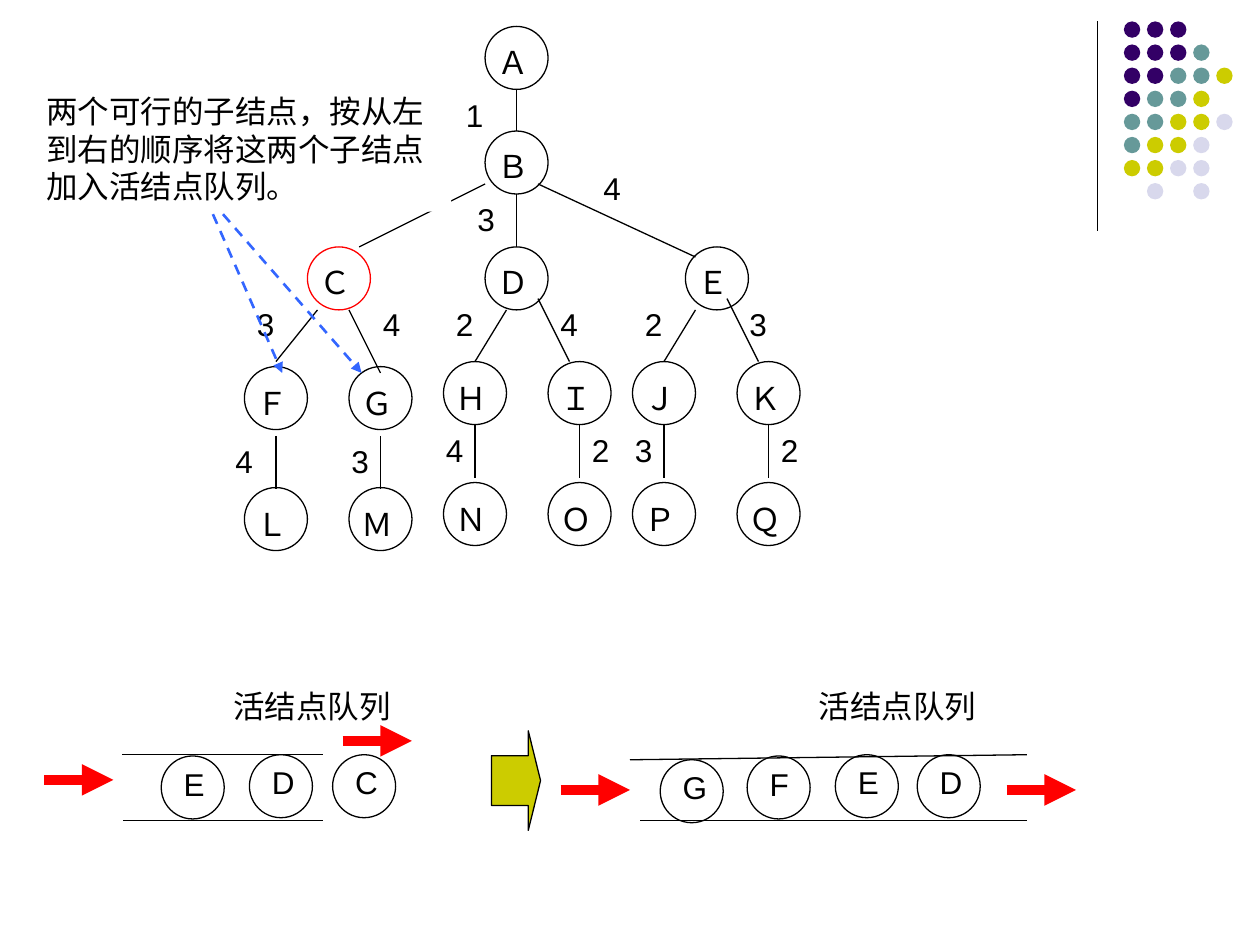
from dataclasses import dataclass

from lxml import etree
from pptx import Presentation
from pptx.dml.color import RGBColor
from pptx.enum.dml import MSO_LINE
from pptx.enum.shapes import MSO_CONNECTOR, MSO_SHAPE
from pptx.enum.text import PP_ALIGN
from pptx.oxml.ns import qn
from pptx.util import Inches, Pt

STRAIGHT = MSO_CONNECTOR.STRAIGHT
OVAL, RECTANGLE, RIGHT_ARROW = MSO_SHAPE.OVAL, MSO_SHAPE.RECTANGLE, MSO_SHAPE.RIGHT_ARROW
DASH = MSO_LINE.DASH
LEFT, CENTER = PP_ALIGN.LEFT, PP_ALIGN.CENTER


@dataclass(frozen=True)
class Theme:
    font: str = "Arial"
    text_size: float = 18
    ink: str = "000000"
    paper: str = "FFFFFF"
    red: str = "FF0000"
    blue: str = "3366FF"
    purple: str = "330066"
    teal: str = "669999"
    olive: str = "CCCC00"
    lilac: str = "D8D8EC"
    thin: float = 0.75
    medium: float = 1.5
    thick: float = 6


class TreeSlide:
    NODE = 0.5

    def __init__(self, slide, theme):
        self.slide = slide
        self.theme = theme

    def shape(self, preset, x, y, width, height, fill=None, outline=None):
        shape = self.slide.shapes.add_shape(
            preset, Inches(x), Inches(y), Inches(width), Inches(height))
        shape.shadow.inherit = False
        if fill:
            shape.fill.solid()
            shape.fill.fore_color.rgb = RGBColor.from_string(fill)
        else:
            shape.fill.background()
        if outline:
            shape.line.color.rgb = RGBColor.from_string(outline)
            shape.line.width = Pt(self.theme.thin)
        else:
            shape.line.fill.background()
        return shape

    def text(self, words, x, y, width, height=0.4, align=LEFT):
        box = self.slide.shapes.add_textbox(
            Inches(x), Inches(y), Inches(width), Inches(height))
        frame = box.text_frame
        frame.word_wrap = True
        frame.text = words
        paragraph = frame.paragraphs[0]
        paragraph.alignment = align
        font = paragraph.runs[0].font
        font.name = self.theme.font
        font.size = Pt(self.theme.text_size)
        font.color.rgb = RGBColor.from_string(self.theme.ink)
        return box

    def line(self, start, end, color=None, weight=None, dash=None, arrow=False):
        x1, y1, x2, y2 = (Inches(v) for v in (*start, *end))
        line = self.slide.shapes.add_connector(STRAIGHT, x1, y1, x2, y2)
        line.line.color.rgb = RGBColor.from_string(color or self.theme.ink)
        line.line.width = Pt(weight or self.theme.thin)
        if dash:
            line.line.dash_style = dash
        if arrow:
            etree.SubElement(line.line._get_or_add_ln(), qn("a:tailEnd"), type="triangle")
        etree.SubElement(line._element.spPr, qn("a:effectLst"))

    def node(self, letter, x, y, label_dx=0, label_dy=0.08, outline=None):
        self.shape(OVAL, x, y, self.NODE, self.NODE, outline=outline or self.theme.ink)
        self.text(letter, x + label_dx, y + label_dy, 0.42)

    def queue_node(self, letter, x, y):
        self.node(letter, x, y, 0.08, 0.02)

    def edge_cost(self, cost, x, y):
        self.text(cost, x, y, 0.33)

    def queue_arrow(self, x, y):
        self.line((x, y), (x + 0.55, y), self.theme.red, self.theme.thick, arrow=True)


def main():
    prs = Presentation()
    prs.slide_width, prs.slide_height = Inches(10), Inches(7.5)
    theme = Theme()
    page = TreeSlide(prs.slides.add_slide(prs.slide_layouts[6]), theme)

    # Corner decoration: rule and dot grid
    page.line((8.71, 0.17), (8.71, 1.83))
    dot_colors = {"P": theme.purple, "T": theme.teal, "O": theme.olive, "L": theme.lilac}
    dot_rows = ["PPP", "PPPT", "PPTTO", "PTTO", "TTOOL", "TOOL", "OOLL", ".L.L"]
    pitch = 0.55 / 3
    for row, dots in enumerate(dot_rows):
        for col, key in enumerate(dots):
            if key in dot_colors:
                page.shape(OVAL, 8.92 + col * pitch, 0.17 + row * pitch,
                           0.13, 0.13, fill=dot_colors[key])

    # Tree: inner nodes
    for letter, x, y in [("Ａ", 3.85, 0.21), ("Ｂ", 3.85, 1.04), ("Ｃ", 2.44, 1.96),
                         ("Ｄ", 3.85, 1.96), ("Ｅ", 5.44, 1.96)]:
        page.node(letter, x, y, outline=theme.red if letter == "Ｃ" else None)

    # Tree: each lower node, its leaf, and the edge and cost between them
    for parent, leaf, x, y, cost, cost_x in [
            ("Ｆ", "Ｌ", 1.94, 2.91, "4", 1.77), ("Ｇ", "Ｍ", 2.77, 2.91, "3", 2.69),
            ("Ｈ", "Ｎ", 3.52, 2.87, "4", 3.44), ("Ｉ", "Ｏ", 4.35, 2.87, "2", 4.6),
            ("Ｊ", "Ｐ", 5.02, 2.87, "3", 4.94), ("Ｋ", "Ｑ", 5.85, 2.87, "2", 6.1)]:
        page.node(parent, x, y, label_dy=0.09)
        page.node(leaf, x, y + 0.96, label_dy=0.09)
        edge_x, edge_top = x + page.NODE / 2, 3.46 if y > 2.9 else 3.37
        page.line((edge_x, edge_top), (edge_x, edge_top + 0.42))
        page.edge_cost(cost, cost_x, edge_top)

    # Tree: upper edges
    for start, end in [
            ((4.1, 0.71), (4.1, 1.04)), ((4.1, 1.54), (4.1, 1.96)),
            ((3.85, 1.46), (2.85, 1.96)), ((4.27, 1.46), (5.52, 2.04)),
            ((2.52, 2.46), (2.19, 2.87)), ((2.77, 2.46), (3.02, 2.96)),
            ((4.02, 2.46), (3.77, 2.87)), ((4.27, 2.37), (4.52, 2.87)),
            ((5.52, 2.46), (5.27, 2.87)), ((5.77, 2.37), (6.02, 2.87))]:
        page.line(start, end)

    # Tree: upper edge costs
    for cost, x, y in [
            ("1", 3.6, 0.71), ("3", 3.69, 1.54), ("4", 4.69, 1.29),
            ("3", 1.94, 2.37), ("4", 2.94, 2.37), ("2", 3.52, 2.37),
            ("4", 4.35, 2.37), ("2", 5.02, 2.37), ("3", 5.85, 2.37)]:
        page.edge_cost(cost, x, y)

    # Explanation with pointers to the two child nodes
    for start, child in [((1.69, 1.7), (2.24, 2.96)), ((1.77, 1.7), (2.87, 2.96))]:
        page.line(start, child, theme.blue, theme.medium, DASH, arrow=True)
    explanation = page.text("两个可行的子结点，按从左到右的顺序将这两个子结点加入活结点队列。",
                            0.27, 0.68, 3.31, 1)
    explanation.fill.solid()
    explanation.fill.fore_color.rgb = RGBColor.from_string(theme.paper)

    # Queue before and after expanding C
    queues = [
        (1.61, [((0.97, 5.99), (2.56, 5.99)), ((0.98, 6.51), (2.56, 6.51))],
         [("E", 1.28, 6), ("D", 1.98, 5.99), ("C", 2.64, 5.99)],
         [(0.35, 6.19), (2.72, 5.88)]),
        (6.26, [((5, 6.03), (8.15, 5.99)), ((5.08, 6.51), (8.15, 6.51))],
         [("G", 5.24, 6.03), ("F", 5.93, 6), ("E", 6.63, 5.99), ("D", 7.28, 5.99)],
         [(4.45, 6.27), (7.99, 6.27)]),
    ]
    for title_x, walls, members, arrows in queues:
        page.text("活结点队列", title_x, 5.4, 1.73, align=CENTER)
        for start, end in walls:
            page.line(start, end)
        for member in members:
            page.queue_node(*member)
        for arrow in arrows:
            page.queue_arrow(*arrow)

    # Step from one queue state to the next
    step = page.shape(RIGHT_ARROW, 3.9, 5.8, 0.39, 0.79, theme.olive, theme.ink)
    step.adjustments[0], step.adjustments[1] = 0.5, 0.25

    prs.save("out.pptx")


if __name__ == "__main__":
    main()
